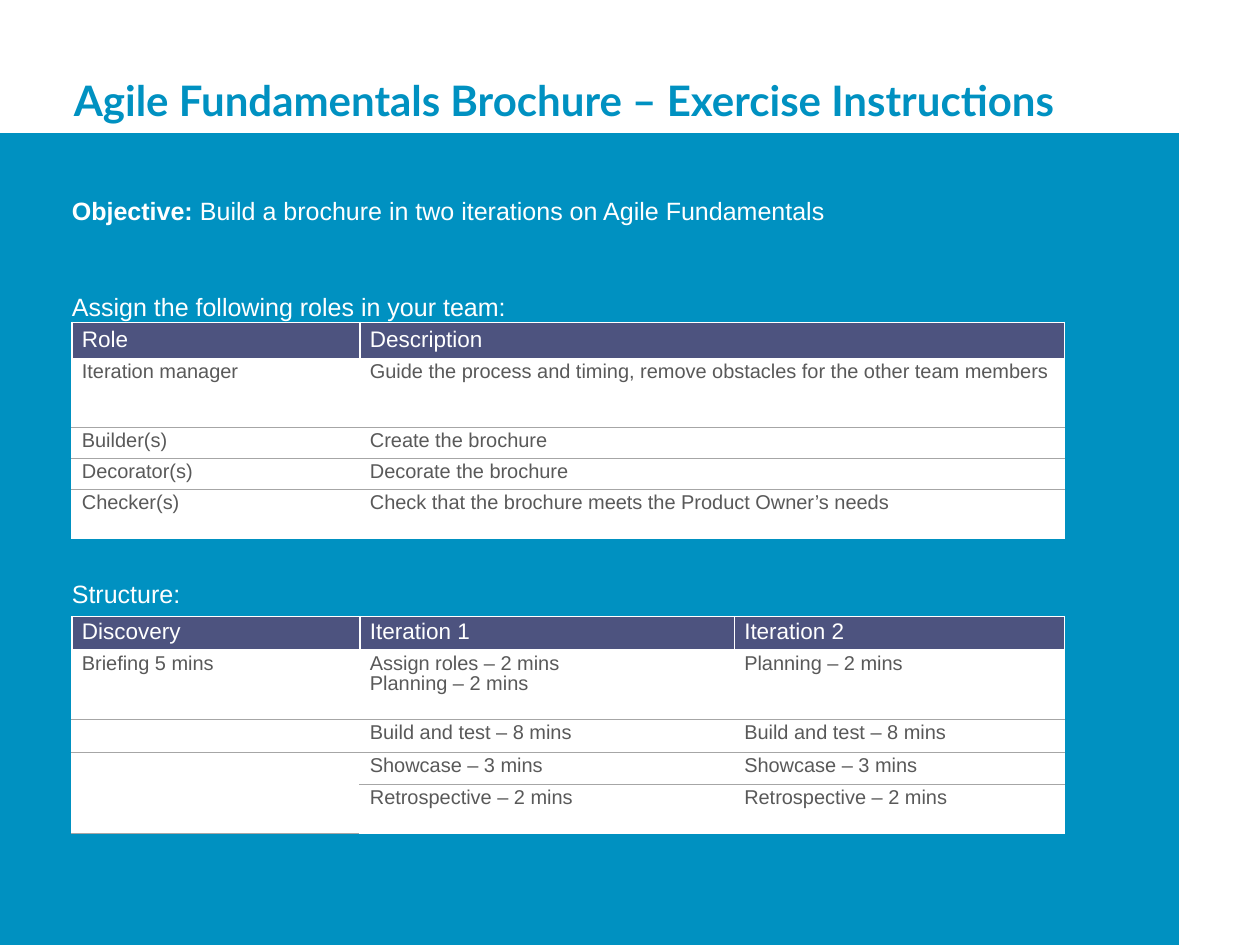
import pptx
import pptx.dml.color
import pptx.enum.shapes
import pptx.enum.text
import pptx.oxml.ns
import pptx.util
from lxml import etree

Inches = pptx.util.Inches
Pt = pptx.util.Pt
ANCHOR = pptx.enum.text.MSO_ANCHOR

BLUE, NAVY, WHITE = "0091C1", "4D537F", "FFFFFF"
TEXT_GREY, LINE_GREY = "595959", "A6A6A6"

ROLES = [
    ["Role", "Description"],
    ["Iteration manager", "Guide the process and timing, remove obstacles for the other team members"],
    ["Builder(s)", "Create the brochure"],
    ["Decorator(s)", "Decorate the brochure"],
    ["Checker(s)", "Check that the brochure meets the Product Owner’s needs"],
]
STRUCTURE = [
    ["Discovery", "Iteration 1", "Iteration 2"],
    ["Briefing 5 mins", "Assign roles – 2 mins\nPlanning – 2 mins", "Planning – 2 mins"],
    ["", "Build and test – 8 mins", "Build and test – 8 mins"],
    ["", "Showcase – 3 mins", "Showcase – 3 mins"],
    ["", "Retrospective – 2 mins", "Retrospective – 2 mins"],
]


def color(value):
    """Turn a hex string into a colour."""
    return pptx.dml.color.RGBColor.from_string(value)


def style(para, size, ink, font="Arial", spacing=1.0):
    """Set the font and line spacing of a paragraph."""
    para.font.name = font
    para.font.size = Pt(size)
    para.font.color.rgb = color(ink)
    para.line_spacing = spacing


def add_title(page, text):
    """Fill and place the title placeholder."""
    box = page.shapes.title
    box.left, box.top, box.width, box.height = map(Inches, (0.7, 0.83, 13.3, 0.74))
    frame = box.text_frame
    frame.text = text
    frame.vertical_anchor = ANCHOR.TOP
    frame.margin_left = frame.margin_right = Inches(0.12)
    frame.margin_top = frame.margin_bottom = Inches(0.06)
    para = frame.paragraphs[0]
    style(para, 33.6, BLUE, "Lato", 0.9)
    para.font.bold = True
    para.alignment = pptx.enum.text.PP_ALIGN.LEFT


def add_panel(page):
    """Draw the blue panel behind the content."""
    panel = page.shapes.add_shape(
        pptx.enum.shapes.MSO_SHAPE.RECTANGLE, 0, Inches(1.48), Inches(13.1), Inches(9.02))
    panel.shadow.inherit = False
    panel.fill.solid()
    panel.fill.fore_color.rgb = color(BLUE)
    panel.line.fill.background()


def add_label(page, text, place, lead="", anchor=ANCHOR.MIDDLE, spacing=1.0):
    """Add a line of white text with an optional bold lead."""
    box = page.shapes.add_textbox(*map(Inches, place))
    frame = box.text_frame
    frame.word_wrap = True
    frame.vertical_anchor = anchor
    para = frame.paragraphs[0]
    style(para, 20, WHITE, spacing=spacing)
    if lead:
        span = para.add_run()
        span.text = lead
        span.font.bold = True
    para.add_run().text = text


def set_borders(cell, top, bottom):
    """Draw white side borders and the given top and bottom colours."""
    properties = cell._tc.get_or_add_tcPr()
    for side, ink in (("L", WHITE), ("R", WHITE), ("T", top), ("B", bottom)):
        width = Pt(1) if ink == WHITE else Pt(0.25)
        line = etree.SubElement(properties, pptx.oxml.ns.qn("a:ln" + side), w=str(width))
        fill = etree.SubElement(line, pptx.oxml.ns.qn("a:solidFill"))
        etree.SubElement(fill, pptx.oxml.ns.qn("a:srgbClr"), val=ink)


def add_grid(page, top, values, widths, heights, header_spacing):
    """Add a table with a navy header row and white body rows."""
    frame = page.shapes.add_table(
        len(values), len(widths), Inches(0.8), Inches(top),
        Inches(sum(widths)), Inches(sum(heights)))
    table = frame.table
    table.horz_banding = False
    for column, width in zip(table.columns, widths):
        column.width = Inches(width)
    last = len(values) - 1
    for index, (row, height, texts) in enumerate(zip(table.rows, heights, values)):
        row.height = Inches(height)
        header = index == 0
        for cell, text in zip(row.cells, texts):
            cell.text = text
            cell.margin_left = cell.margin_right = Inches(0.11)
            cell.margin_top = cell.margin_bottom = Inches(0.05)
            set_borders(cell, WHITE if index < 2 else LINE_GREY,
                        WHITE if index in (0, last) else LINE_GREY)
            cell.fill.solid()
            cell.fill.fore_color.rgb = color(NAVY if header else WHITE)
            for para in cell.text_frame.paragraphs:
                if header:
                    style(para, 18, WHITE, spacing=header_spacing)
                else:
                    style(para, 16, TEXT_GREY, spacing=0.9)
                para.font.bold = False
    return table


def main():
    """Build the slide and save the deck."""
    deck = pptx.Presentation()
    deck.slide_width, deck.slide_height = Inches(14), Inches(10.5)
    page = deck.slides.add_slide(deck.slide_layouts[5])
    add_panel(page)
    add_title(page, "Agile Fundamentals Brochure – Exercise Instructions")
    add_label(page, "Build a brochure in two iterations on Agile Fundamentals",
              (0.7, 2.16, 12.05, 0.74), "Objective: ", ANCHOR.TOP, 0.9)
    add_label(page, "Assign the following roles in your team:", (0.7, 3.16, 5.29, 0.49))
    add_grid(page, 3.58, ROLES, [3.2, 7.83], [0.39, 0.77, 0.33, 0.33, 0.55], 1.0)
    add_label(page, "Structure:", (0.7, 6.38, 1.74, 0.44))
    structure = add_grid(page, 6.85, STRUCTURE, [3.2, 4.16, 3.67],
                         [0.36, 0.77, 0.36, 0.35, 0.55], 0.9)
    structure.cell(3, 0).merge(structure.cell(4, 0))
    deck.save("out.pptx")


main()
